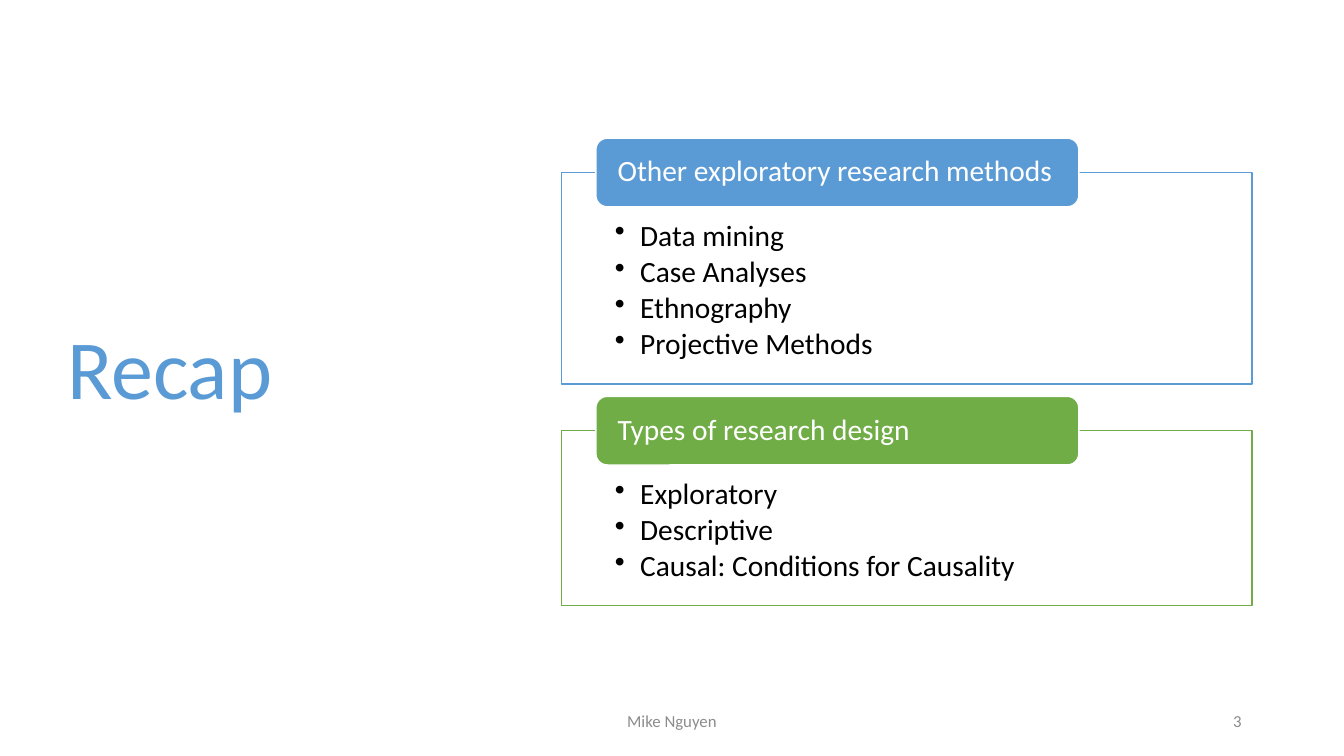
from dataclasses import dataclass

from lxml import etree
from pptx import Presentation
from pptx.dml.color import RGBColor
from pptx.enum.shapes import MSO_SHAPE
from pptx.enum.text import MSO_ANCHOR, PP_ALIGN
from pptx.oxml.ns import qn
from pptx.shapes.autoshape import Shape
from pptx.slide import Slide
from pptx.util import Pt

RECTANGLE = MSO_SHAPE.RECTANGLE
ROUNDED = MSO_SHAPE.ROUNDED_RECTANGLE
TOP, MIDDLE = MSO_ANCHOR.TOP, MSO_ANCHOR.MIDDLE
LEFT, CENTER, RIGHT = PP_ALIGN.LEFT, PP_ALIGN.CENTER, PP_ALIGN.RIGHT

BLUE = RGBColor(0x5B, 0x9B, 0xD5)
GREEN = RGBColor(0x70, 0xAD, 0x47)
GRAY = RGBColor(0x8C, 0x8C, 0x8C)
BLACK = RGBColor(0, 0, 0)
WHITE = RGBColor(0xFF, 0xFF, 0xFF)

FONT = "Calibri"
PANEL_LEFT, PANEL_WIDTH = 401, 493.2
HEADING_LEFT, HEADING_WIDTH, HEADING_HEIGHT = 425.6, 345, 49
BULLET_INDENT = 18


@dataclass(frozen=True)
class Box:
    left: float
    top: float
    width: float
    height: float

    def in_points(self) -> tuple[Pt, Pt, Pt, Pt]:
        return Pt(self.left), Pt(self.top), Pt(self.width), Pt(self.height)


@dataclass(frozen=True)
class TextStyle:
    size: float
    color: RGBColor
    align: PP_ALIGN = LEFT
    anchor: MSO_ANCHOR = MIDDLE
    line_spacing: float = 1
    space_after: float = 0
    insets: tuple[float, float, float, float] = (7.2, 3.6, 7.2, 3.6)
    bulleted: bool = False


@dataclass(frozen=True)
class Label:
    text: str
    box: Box
    style: TextStyle


@dataclass(frozen=True)
class Topic:
    heading: str
    points: tuple[str, ...]
    color: RGBColor
    top: float
    height: float


TITLE_STYLE = TextStyle(60, BLUE, line_spacing=0.9)
HEADING_STYLE = TextStyle(21, WHITE, line_spacing=0.9, insets=(13.2, 0, 13.2, 0))
POINT_STYLE = TextStyle(21, BLACK, anchor=TOP, line_spacing=0.9, space_after=3.15,
                        insets=(38.3, 34.6, 38.3, 11.5), bulleted=True)
AUTHOR_STYLE = TextStyle(12, GRAY, align=CENTER, space_after=6)
NUMBER_STYLE = TextStyle(12, GRAY, align=RIGHT, space_after=6)

LABELS = (
    Label("Recap", Box(41, 49, 299.5, 433.4), TITLE_STYLE),
    Label("Mike Nguyen", Box(318, 500.5, 324, 28.75), AUTHOR_STYLE),
    Label("3", Box(678, 500.5, 216, 28.75), NUMBER_STYLE),
)
TOPICS = (
    Topic("Other exploratory research methods",
          ("Data mining", "Case Analyses", "Ethnography", "Projective Methods"),
          BLUE, 123.2, 151),
    Topic("Types of research design",
          ("Exploratory", "Descriptive", "Causal: Conditions for Causality"),
          GREEN, 307.6, 125),
)


def write_text(shape: Shape, lines: tuple[str, ...], style: TextStyle) -> None:
    frame = shape.text_frame
    frame.word_wrap = True
    frame.vertical_anchor = style.anchor
    (frame.margin_left, frame.margin_top,
     frame.margin_right, frame.margin_bottom) = map(Pt, style.insets)
    for index, line in enumerate(lines):
        paragraph = frame.add_paragraph() if index else frame.paragraphs[0]
        paragraph.alignment = style.align
        paragraph.line_spacing = style.line_spacing
        paragraph.space_after = Pt(style.space_after)
        if style.bulleted:
            properties = paragraph._p.get_or_add_pPr()
            properties.set("marL", str(Pt(BULLET_INDENT)))
            properties.set("indent", str(-Pt(BULLET_INDENT)))
            etree.SubElement(properties, qn("a:buChar"), char="•")
        run = paragraph.add_run()
        run.text = line
        run.font.name = FONT
        run.font.size = Pt(style.size)
        run.font.color.rgb = style.color


def add_outlined_shape(slide: Slide, preset: MSO_SHAPE, box: Box,
                       fill: RGBColor, outline: RGBColor) -> Shape:
    shape = slide.shapes.add_shape(preset, *box.in_points())
    shape.shadow.inherit = False
    shape.fill.solid()
    shape.fill.fore_color.rgb = fill
    shape.line.color.rgb = outline
    shape.line.width = Pt(1)
    return shape


def set_opacity(shape: Shape, percent: int) -> None:
    color = shape._element.spPr.find(f"{qn('a:solidFill')}/{qn('a:srgbClr')}")
    etree.SubElement(color, qn("a:alpha"), val=str(percent * 1000))


def add_label(slide: Slide, label: Label) -> None:
    write_text(slide.shapes.add_textbox(*label.box.in_points()), (label.text,), label.style)


def add_topic(slide: Slide, topic: Topic) -> None:
    """Draw a panel of points with its heading centred on the top edge."""
    panel_box = Box(PANEL_LEFT, topic.top, PANEL_WIDTH, topic.height)
    panel = add_outlined_shape(slide, RECTANGLE, panel_box, WHITE, topic.color)
    set_opacity(panel, 90)
    write_text(panel, topic.points, POINT_STYLE)

    heading_box = Box(HEADING_LEFT, topic.top - HEADING_HEIGHT / 2,
                      HEADING_WIDTH, HEADING_HEIGHT)
    heading = add_outlined_shape(slide, ROUNDED, heading_box, topic.color, WHITE)
    write_text(heading, (topic.heading,), HEADING_STYLE)


def main() -> None:
    presentation = Presentation()
    presentation.slide_width = Pt(960)
    presentation.slide_height = Pt(540)
    slide = presentation.slides.add_slide(presentation.slide_layouts[6])
    for label in LABELS:
        add_label(slide, label)
    for topic in TOPICS:
        add_topic(slide, topic)
    presentation.save("out.pptx")


if __name__ == "__main__":
    main()
